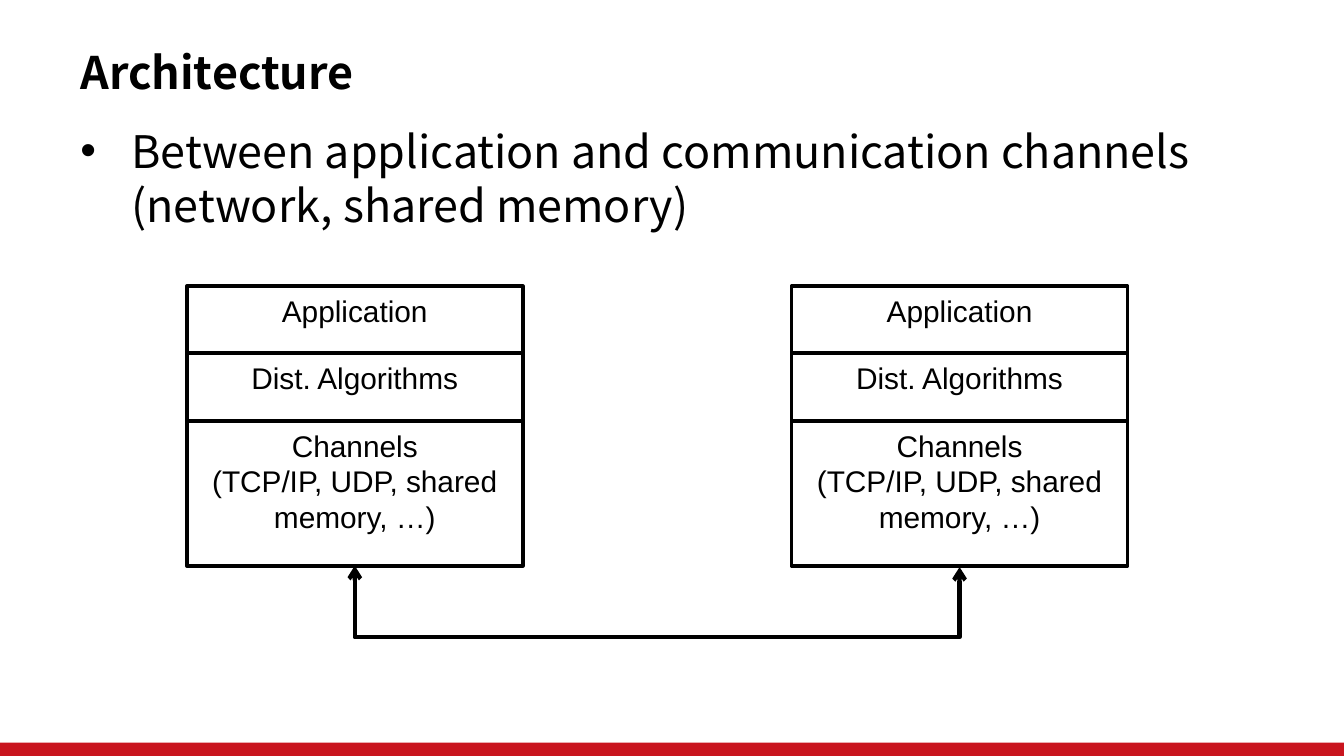
from dataclasses import dataclass

from lxml.etree import SubElement
from pptx import Presentation
from pptx.dml.color import RGBColor
from pptx.enum.shapes import MSO_CONNECTOR as Connector, MSO_SHAPE as Shape
from pptx.enum.text import MSO_ANCHOR as Anchor, PP_ALIGN as Align
from pptx.oxml.ns import qn
from pptx.util import Inches, Pt


@dataclass(frozen=True)
class Theme:
    ink: RGBColor = RGBColor(0x00, 0x00, 0x00)
    paper: RGBColor = RGBColor(0xFF, 0xFF, 0xFF)
    accent: RGBColor = RGBColor(0xC9, 0x15, 0x1E)
    text_font: str = "Noto Sans CJK SC"
    label_font: str = "Arial"
    text_size: Pt = Pt(24)
    label_size: Pt = Pt(16)
    border: Pt = Pt(2)
    link: Pt = Pt(2.25)


theme = Theme()


def add_run(paragraph, words, font, size, bold=False):
    run = paragraph.add_run()
    run.text = words
    run.font.name, run.font.size, run.font.bold = font, size, bold
    run.font.color.rgb = theme.ink


def add_box(left, top, width, height, fill):
    box = slide.shapes.add_shape(
        Shape.RECTANGLE, *map(Inches, (left, top, width, height)))
    box.shadow.inherit = False
    box.fill.solid()
    box.fill.fore_color.rgb = fill
    box.line.fill.background()
    return box


# Slide, 16 by 9
WIDTH = 10
HEIGHT = WIDTH * 9 / 16
deck = Presentation()
deck.slide_width, deck.slide_height = Inches(WIDTH), Inches(HEIGHT)
slide = deck.slides.add_slide(deck.slide_layouts[6])

# Bottom band
BAND = 0.1
add_box(0, HEIGHT - BAND, WIDTH, BAND, theme.accent)

# Title and bullet
MARGIN = 0.05 * WIDTH
title = slide.shapes.add_textbox(
    *map(Inches, (MARGIN, 0.29, 6.96, 0.49))).text_frame
title.word_wrap = True
title.vertical_anchor = Anchor.MIDDLE
add_run(title.paragraphs[0], "Architecture",
        theme.text_font, theme.text_size, bold=True)

body = slide.shapes.add_textbox(
    *map(Inches, (MARGIN, 0.87, 8.76, 4.18))).text_frame
body.word_wrap = True
point = body.paragraphs[0]
indent = point._p.get_or_add_pPr()
indent.set("marL", str(Inches(0.38)))
indent.set("indent", str(-Inches(0.38)))
SubElement(indent, qn("a:buFont"), typeface=theme.label_font)
SubElement(indent, qn("a:buChar"), char="•")
add_run(point, "Between application and communication channels "
        "(network, shared memory)", theme.text_font, theme.text_size)

# Two stacks of layers: heights are counted in rows
FIRST, TOP, COLUMN, STEP, ROW = 1.39, 2.13, 2.5, 4.5, 0.5
layers = [
    (["Application"], 1),
    (["Dist. Algorithms"], 1),
    (["Channels", "(TCP/IP, UDP, shared memory, …)"], 2.16),
]
for stack in range(2):
    top = TOP
    for lines, rows in layers:
        layer = add_box(FIRST + stack * STEP, top, COLUMN, rows * ROW, theme.paper)
        layer.line.color.rgb = theme.ink
        layer.line.width = theme.border
        label = layer.text_frame
        label.word_wrap = True
        label.vertical_anchor = Anchor.TOP
        for number, words in enumerate(lines):
            paragraph = label.add_paragraph() if number else label.paragraphs[0]
            paragraph.alignment = Align.CENTER
            add_run(paragraph, words, theme.label_font, theme.label_size)
        top += rows * ROW

# Link below the stacks: an elbow turned a quarter, bent DROP below its ends
DROP, THIN = 0.54, 0.01
middle_x, middle_y = FIRST + (COLUMN + STEP) / 2, top + THIN / 2
link = slide.shapes.add_connector(Connector.ELBOW, *map(Inches, (
    middle_x - THIN / 2, middle_y - STEP / 2,
    middle_x + THIN / 2, middle_y + STEP / 2)))
link.line.color.rgb = theme.ink
link.line.width = theme.link
frame = link._element.spPr
turn = frame.find(qn("a:xfrm"))
turn.set("rot", str(270 * 60000))
turn.set("flipH", "1")
SubElement(frame.find(qn("a:prstGeom")).find(qn("a:avLst")), qn("a:gd"),
           name="adj1", fmla=f"val {round(DROP / THIN * 100000)}")
for end in ("a:headEnd", "a:tailEnd"):
    SubElement(link.line._get_or_add_ln(), qn(end), type="arrow")
SubElement(frame, qn("a:effectLst"))

deck.save("out.pptx")
